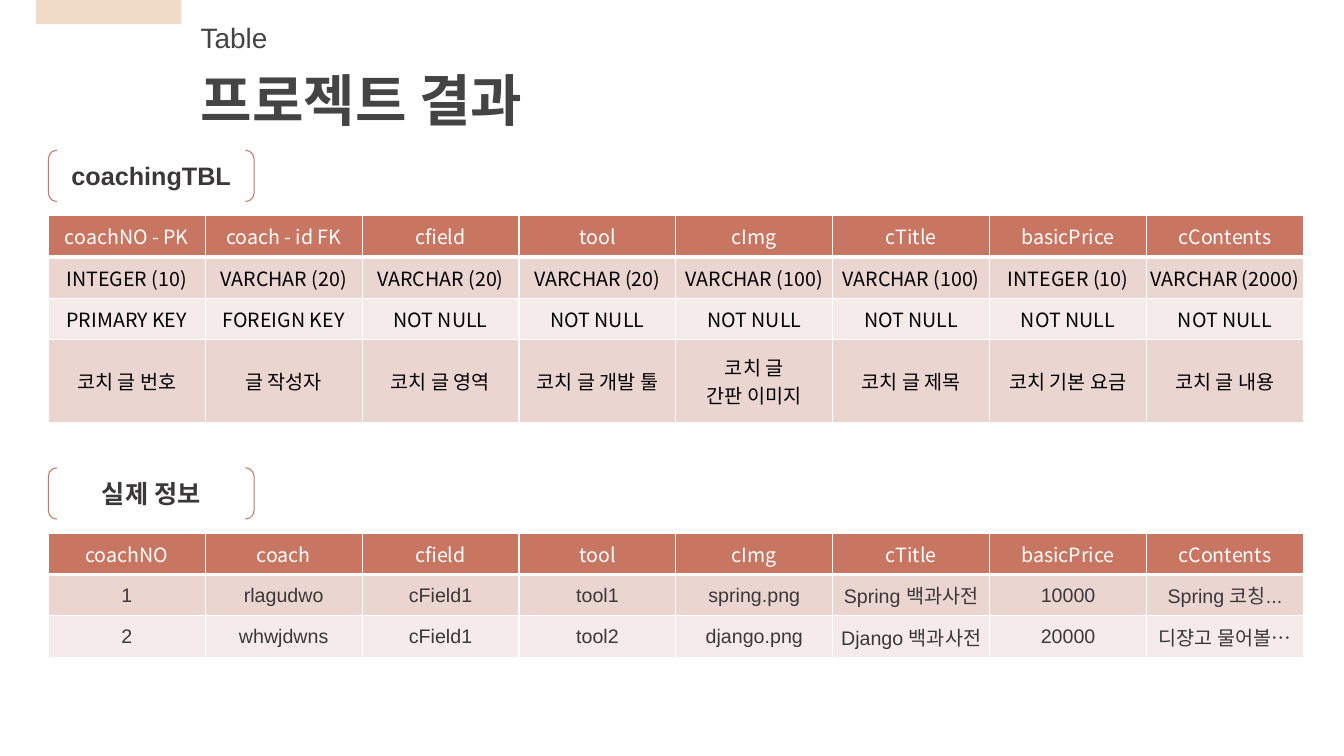
"""Build the project result slide showing the coaching table schema and its sample rows."""
from dataclasses import dataclass

from lxml.etree import SubElement
from pptx import Presentation
from pptx.dml.color import RGBColor
from pptx.enum.shapes import MSO_SHAPE as Shape
from pptx.enum.text import MSO_ANCHOR as Anchor, PP_ALIGN as Align
from pptx.oxml import parse_xml
from pptx.oxml.ns import nsdecls, qn
from pptx.util import Inches, Pt

KICKER = "Table"
TITLE = "프로젝트 결과"
SCHEMA = [
    ["coachNO - PK", "coach - id FK", "cfield", "tool", "cImg", "cTitle", "basicPrice", "cContents"],
    ["INTEGER (10)", "VARCHAR (20)", "VARCHAR (20)", "VARCHAR (20)",
     "VARCHAR (100)", "VARCHAR (100)", "INTEGER (10)", "VARCHAR (2000)"],
    ["PRIMARY KEY", "FOREIGN KEY"] + ["NOT NULL"] * 6,
    ["코치 글 번호", "글 작성자", "코치 글 영역", "코치 글 개발 툴",
     "코치 글\n간판 이미지", "코치 글 제목", "코치 기본 요금", "코치 글 내용"],
]
RECORDS = [
    ["coachNO", "coach", "cfield", "tool", "cImg", "cTitle", "basicPrice", "cContents"],
    ["1", "rlagudwo", "cField1", "tool1", "spring.png", "Spring 백과사전", "10000", "Spring 코칭..."],
    ["2", "whwjdwns", "cField1", "tool2", "django.png", "Django 백과사전", "20000", "디쟝고 물어볼…"],
]


@dataclass(frozen=True)
class Theme:
    latin: str = "Arial"
    korean: str = "Noto Sans CJK KR"
    heading: str = "454444"
    ink: str = "3A3838"
    black: str = "000000"
    white: str = "FFFFFF"
    accent: str = "C87661"
    bands: tuple = ("F5EBEA", "EBD5D1")
    tab: str = "EFDBC7"
    title_size: int = 40
    kicker_size: int = 20
    label_size: int = 18
    cell_size: int = 14


THEME = Theme()
LEFT, TABLE_WIDTH, ROW = 0.48, 12.45, 0.41
HEADING_LEFT = 1.89
LABEL_WIDTH, LABEL_HEIGHT, LABEL_TO_TABLE = 2.04, 0.51, 0.65
SECTIONS = [
    ("coachingTBL", 1.49, SCHEMA, [1, 1, 1, 2], THEME.korean, THEME.black, 0.02),
    ("실제 정보", 4.64, RECORDS, [1, 1, 1], THEME.latin, THEME.ink, 0),
]


def rgb(color):
    return RGBColor.from_string(color)


def box(left, top, width, height):
    return [Inches(length) for length in (left, top, width, height)]


def style_text(frame, size, color, font, bold=False, align=Align.CENTER):
    for paragraph in frame.paragraphs:
        paragraph.alignment = align
        for run in paragraph.runs:
            run.font.size, run.font.bold, run.font.name = Pt(size), bold, font
            run.font.color.rgb = rgb(color)
            SubElement(run.font._element, qn("a:ea"), typeface=THEME.korean)


def set_borders(cell, top, bottom):
    properties = cell._tc.get_or_add_tcPr()
    for order, (side, points) in enumerate([("L", 1), ("R", 1), ("T", top), ("B", bottom)]):
        properties.insert(order, parse_xml(
            f'<a:ln{side} {nsdecls("a")} w="{Pt(points)}"><a:solidFill>'
            f'<a:srgbClr val="{THEME.white}"/></a:solidFill></a:ln{side}>'))


def add_label(slide, text, top):
    label = slide.shapes.add_shape(Shape.DOUBLE_BRACKET, *box(LEFT, top, LABEL_WIDTH, LABEL_HEIGHT))
    label.shadow.inherit = False
    label.fill.background()
    label.line.color.rgb, label.line.width = rgb(THEME.accent), Pt(0.75)
    label.text_frame.text = text
    label.text_frame.vertical_anchor = Anchor.MIDDLE
    style_text(label.text_frame, THEME.label_size, THEME.ink, THEME.latin, bold=True)


def add_grid(slide, rows, top, row_units, body_font, body_color, body_margin):
    columns = len(rows[0])
    grid = slide.shapes.add_table(
        len(rows), columns, *box(LEFT, top, TABLE_WIDTH, ROW * sum(row_units))).table
    grid.first_row = grid.horz_banding = False
    for column in grid.columns:
        column.width = Inches(TABLE_WIDTH / columns)
    for r, (texts, units) in enumerate(zip(rows, row_units)):
        header = r == 0
        grid.rows[r].height = Inches(ROW * units)
        for c, text in enumerate(texts):
            cell = grid.cell(r, c)
            cell.text_frame.text = text
            cell.vertical_anchor = Anchor.MIDDLE
            cell.margin_left = cell.margin_right = Inches(0.03)
            cell.margin_top = cell.margin_bottom = Inches(0.02 if header else body_margin)
            cell.fill.solid()
            cell.fill.fore_color.rgb = rgb(THEME.accent if header else THEME.bands[r % 2])
            set_borders(cell, top=3 if r == 1 else 1, bottom=3 if header else 1)
            style_text(cell.text_frame, THEME.cell_size,
                       THEME.white if header else body_color,
                       THEME.korean if header else body_font)


def main():
    deck = Presentation()
    deck.slide_width, deck.slide_height = Inches(13.33), Inches(7.5)
    slide = deck.slides.add_slide(deck.slide_layouts[5])

    tab = slide.shapes.add_shape(Shape.RECTANGLE, *box(0.36, 0, 1.44, 0.24))
    tab.shadow.inherit = False
    tab.fill.solid()
    tab.fill.fore_color.rgb = rgb(THEME.tab)
    tab.line.fill.background()

    kicker = slide.shapes.add_textbox(*box(HEADING_LEFT, 0.15, 1.29, 0.44))
    kicker.text_frame.word_wrap = True
    kicker.text_frame.text = KICKER
    style_text(kicker.text_frame, THEME.kicker_size, THEME.heading, THEME.latin, align=Align.LEFT)

    title = slide.shapes.title
    title.left, title.top, title.width, title.height = box(HEADING_LEFT, 0.6, 4.35, 0.77)
    title.text_frame.text = TITLE
    title.text_frame.vertical_anchor = Anchor.TOP
    style_text(title.text_frame, THEME.title_size, THEME.heading, THEME.latin,
               bold=True, align=Align.LEFT)

    for label, top, rows, row_units, font, color, margin in SECTIONS:
        add_label(slide, label, top)
        add_grid(slide, rows, top + LABEL_TO_TABLE, row_units, font, color, margin)

    deck.save("out.pptx")


if __name__ == "__main__":
    main()
